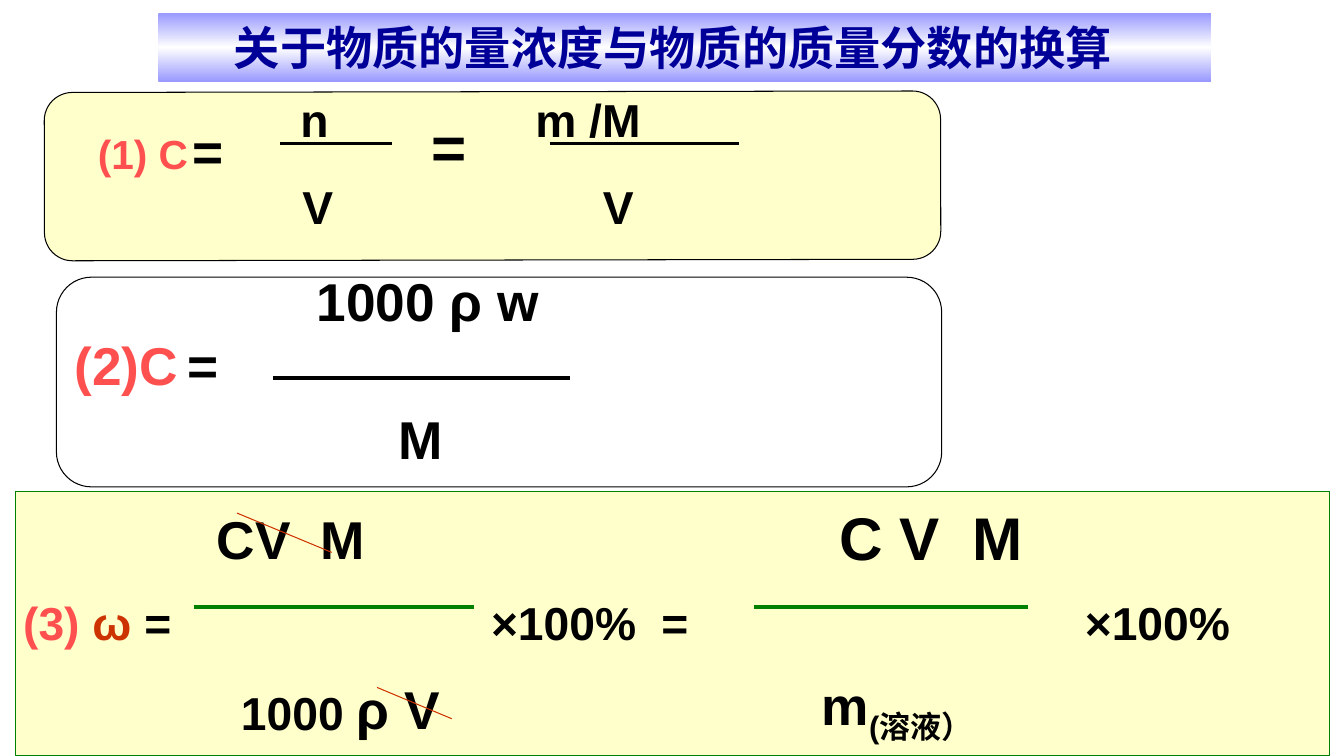
from copy import deepcopy
from lxml.etree import SubElement
from pptx import Presentation
from pptx.dml.color import RGBColor
from pptx.enum.shapes import MSO_CONNECTOR, MSO_SHAPE
from pptx.enum.text import MSO_ANCHOR, PP_ALIGN
from pptx.oxml.ns import qn
from pptx.util import Inches, Pt

BLACK, RED, RUST, GREEN = "000000", "FF5050", "CC3300", "008000"
NAVY, LILAC, CREAM, WHITE = "000099", "9999FF", "FFFFCC", "FFFFFF"


def tint(code):
    return RGBColor.from_string(code)


def style(run, size, color, drop=None):
    font = run.font
    font.name, font.size, font.bold = "Arial", Pt(size), True
    font.color.rgb = tint(color)
    if drop:
        run._r.get_or_add_rPr().set("baseline", str(drop * 1000))


def write(slide, box, x, y, *parts, size=33, color=BLACK):
    runs = [(p, color) if isinstance(p, str) else p for p in parts]
    count = sum(len(run[0]) for run in runs)
    high = 0.8
    area = slide.shapes.add_textbox(
        Inches(box[0] + x), Inches(box[1] + y - high / 2),
        Inches(0.3 + count * size * 0.01), Inches(high))
    frame = area.text_frame
    frame.word_wrap = True
    frame.vertical_anchor = MSO_ANCHOR.MIDDLE
    frame.margin_left = frame.margin_right = 0
    frame.margin_top = frame.margin_bottom = 0
    for text, *look in runs:
        run = frame.paragraphs[0].add_run()
        run.text = text
        style(run, size, *look)


def rule(slide, box, x1, y1, x2, y2, color=BLACK, width=2.25):
    line = slide.shapes.add_connector(
        MSO_CONNECTOR.STRAIGHT, Inches(box[0] + x1), Inches(box[1] + y1),
        Inches(box[0] + x2), Inches(box[1] + y2))
    line.line.color.rgb = tint(color)
    line.line.width = Pt(width)
    SubElement(line._element.spPr, qn("a:effectLst"))


def panel(slide, box, kind, fill, edge):
    shape = slide.shapes.add_shape(kind, *map(Inches, box))
    shape.shadow.inherit = False
    shape.fill.solid()
    shape.fill.fore_color.rgb = tint(fill)
    shape.line.color.rgb = tint(edge)
    shape.line.width = Pt(0.75)
    return shape


def banner(slide, box):
    title = slide.shapes.title
    title.left, title.top, title.width, title.height = map(Inches, box)
    title.fill.gradient()
    title.fill.gradient_angle = 90
    stops = title.fill._fill._gradFill.gsLst
    stops.insert(1, deepcopy(stops[0]))
    for stop, color, place in zip(title.fill.gradient_stops,
                                  (LILAC, WHITE, LILAC), (0, 0.5, 1)):
        stop.color.rgb = tint(color)
        stop.position = place
    frame = title.text_frame
    frame.margin_left = Inches(0.75)
    frame.margin_right = 0
    frame.margin_top = frame.margin_bottom = Inches(0.06)
    frame.vertical_anchor = MSO_ANCHOR.MIDDLE
    frame.paragraphs[0].alignment = PP_ALIGN.LEFT
    run = frame.paragraphs[0].add_run()
    run.text = "关于物质的量浓度与物质的质量分数的换算"
    style(run, 33, NAVY)


def moles(slide, box):
    panel(slide, box, MSO_SHAPE.ROUNDED_RECTANGLE, CREAM, BLACK).rotation = -0.1
    write(slide, box, 0.53, 0.61, "(1) C", size=29, color=RED)
    write(slide, box, 1.47, 0.58, "=", size=38)
    write(slide, box, 3.84, 0.53, "=", size=43)
    for x, y, text in ((2.54, 0.27, "n"), (4.87, 0.27, "m /M"),
                       (2.56, 1.13, "V"), (5.54, 1.13, "V")):
        write(slide, box, x, y, text)
    for x1, x2 in ((2.34, 3.45), (5.01, 6.89)):
        rule(slide, box, x1, 0.51, x2, 0.51)


def density(slide, box):
    panel(slide, box, MSO_SHAPE.ROUNDED_RECTANGLE, WHITE, BLACK)
    write(slide, box, 0.18, 0.86, "(2)C", size=38, color=RED)
    for x, y, text in ((1.3, 0.86, "="), (2.58, 0.23, "1000 ρ w"),
                       (3.39, 1.6, "M")):
        write(slide, box, x, y, text, size=38)
    rule(slide, box, 2.15, 1, 5.09, 1)


def share(slide, box):
    panel(slide, box, MSO_SHAPE.RECTANGLE, CREAM, GREEN)
    write(slide, box, 0.08, 1.29, ("(3) ", RED), ("ω ", RUST), "=")
    for x, y, text, size in (
            (2, 0.46, "CV", 38), (3.03, 0.46, "M", 38),
            (8.18, 0.44, "C V", 43), (9.5, 0.44, "M", 43),
            (4.72, 1.29, "×100%", 33), (6.41, 1.29, "=", 33),
            (10.61, 1.29, "×100%", 33),
            (2.24, 2.18, "1000", 33), (3.39, 2.15, "ρ V", 38)):
        write(slide, box, x, y, text, size=size)
    write(slide, box, 8, 2.15, "m", ("(溶液）", BLACK, -25), size=38)
    for x1, x2 in ((1.77, 4.55), (7.33, 10.05)):
        rule(slide, box, x1, 1.14, x2, 1.14, GREEN, 3)
    for ends in ((2.2, 0.21, 3.14, 0.6), (3.59, 1.94, 4.33, 2.25)):
        rule(slide, box, *ends, RUST, 0.75)


def main():
    deck = Presentation()
    deck.slide_width, deck.slide_height = Inches(13.33), Inches(7.5)
    slide = deck.slides.add_slide(deck.slide_layouts[5])
    banner(slide, (1.57, 0.13, 10.44, 0.68))
    moles(slide, (0.44, 0.91, 8.89, 1.67))
    density(slide, (0.56, 2.75, 8.78, 2.08))
    share(slide, (0.15, 4.88, 13.04, 2.62))
    deck.save("out.pptx")


if __name__ == "__main__":
    main()
